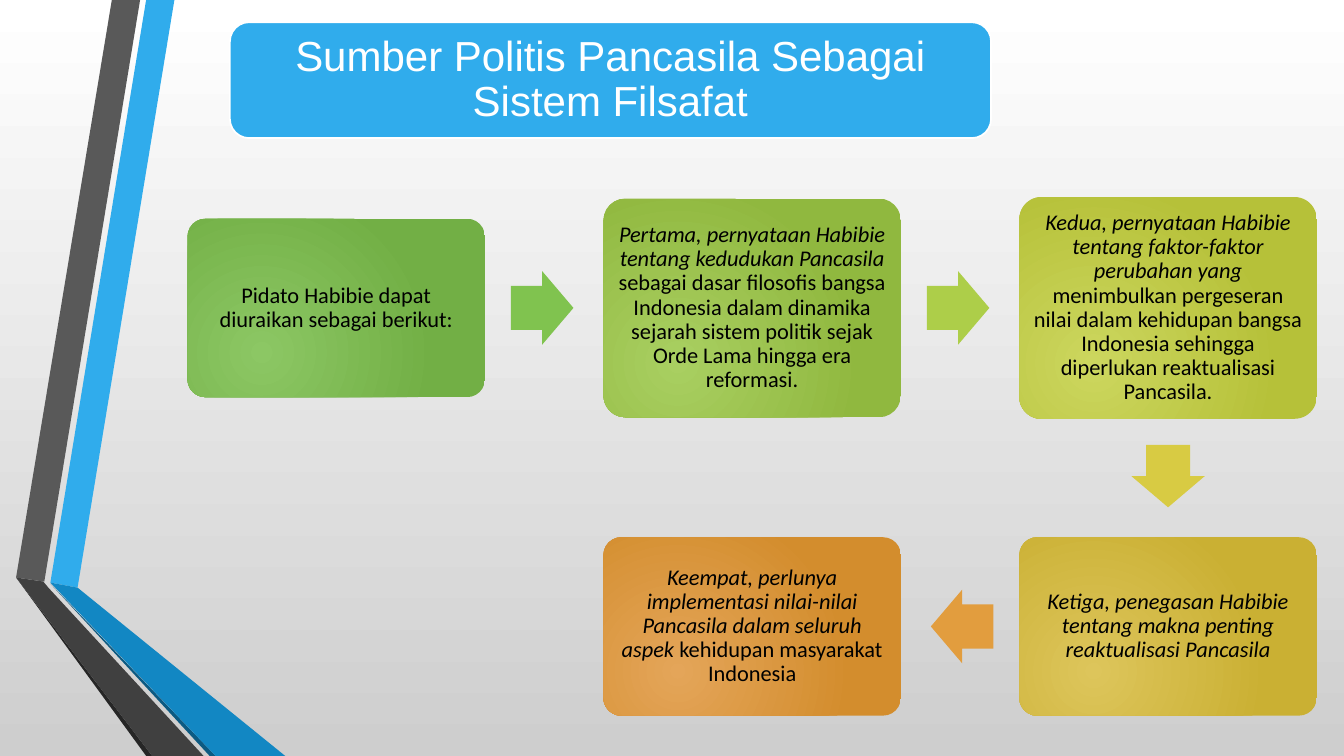
import pptx
import pptx.util
import pptx.dml.color
import pptx.enum.shapes
import pptx.enum.text
import pptx.oxml
import pptx.oxml.ns
from dataclasses import dataclass
from lxml import etree

Inches = pptx.util.Inches
Pt = pptx.util.Pt
MSO = pptx.enum.shapes.MSO_SHAPE


@dataclass(frozen=True)
class Theme:
    font_title: str = "Arial"
    font_body: str = "Calibri"
    size_title: int = 30
    size_body: int = 16
    white: str = "FFFFFF"
    black: str = "000000"
    blue: str = "30ACEC"
    bg: tuple = ("FFFFFF", "CECECE")
    steps: tuple = (("8CC764", "72AF45"), ("A9CF61", "90B83F"),
                    ("CCD65E", "B6C139"), ("DDC55B", "CAB033"),
                    ("E4A559", "D38D2D"))
    arrows: tuple = ("80C34F", "ADCE49", "D8CB43", "E29D3E")


T = Theme()

# Content
TITLE = "Sumber Politis Pancasila Sebagai Sistem Filsafat"

# Each step: column, row, height, italic text, upright text
STEPS = [
    (0, 0, 1.77, "", "Pidato Habibie dapat diuraikan sebagai berikut:"),
    (1, 0, 2.17, "Pertama, pernyataan Habibie tentang kedudukan Pancasila ",
     "sebagai dasar filosofis bangsa Indonesia dalam dinamika sejarah sistem "
     "politik sejak Orde Lama hingga era reformasi."),
    (2, 0, 2.2, "Kedua, pernyataan Habibie tentang faktor-faktor perubahan yang ",
     "menimbulkan pergeseran nilai dalam kehidupan bangsa Indonesia sehingga "
     "diperlukan reaktualisasi Pancasila."),
    (2, 1, 1.77, "Ketiga, penegasan Habibie tentang makna penting "
     "reaktualisasi Pancasila", ""),
    (1, 1, 1.77, "Keempat, perlunya implementasi nilai-nilai Pancasila dalam "
     "seluruh aspek ", "kehidupan masyarakat Indonesia"),
]

# Ribbon facets at the left edge: colour, corners
RIBBONS = [
    (T.blue, [(0.5, 5.78), (0.77, 5.83), (1.73, 0), (1.45, 0)]),
    ("595959", [(1.39, 0), (1.11, 0), (0.16, 5.73), (0.44, 5.77)]),
    ("262626", [(0.16, 5.73), (1.45, 7.5), (1.51, 7.5)]),
    ("0C5A82", [(0.5, 5.79), (2.08, 7.5), (2.14, 7.5)]),
    ("1287C3", [(0.5, 5.78), (2.14, 7.5), (2.83, 7.5), (0.77, 5.83)]),
    ("404040", [(2.02, 7.5), (0.48, 5.83), (0.43, 5.77), (0.16, 5.73),
                (1.51, 7.5)]),
]

# Layout of the flow
LEFT, PITCH, BOX_W = 1.86, 4.125, 2.95
ROW_MID = (3.055, 6.215)
ARROW_W, ARROW_H, ARROW_BACK = 0.62, 0.73, 0.02


def rgb(value):
    return pptx.dml.color.RGBColor.from_string(value)


def paint(sp, color):
    sp.shadow.inherit = False
    sp.fill.solid()
    sp.fill.fore_color.rgb = rgb(color)
    sp.line.fill.background()


def set_gradient(fill, colors):
    fill.gradient()
    for stop, color, position in zip(fill.gradient_stops, colors, (0, 1)):
        stop.color.rgb = rgb(color)
        stop.position = position


def make_radial(sp):
    grad = sp.fill._xPr.find(pptx.oxml.ns.qn("a:gradFill"))
    lin = grad.find(pptx.oxml.ns.qn("a:lin"))
    radial = etree.Element(pptx.oxml.ns.qn("a:path"), path="circle")
    etree.SubElement(radial, pptx.oxml.ns.qn("a:fillToRect"),
                     l="50000", t="100000", r="100000", b="50000")
    grad.replace(lin, radial)


def add_shape(s, kind, x, y, w, h, color):
    sp = s.shapes.add_shape(kind, Inches(x), Inches(y), Inches(w), Inches(h))
    paint(sp, color)
    return sp


def write(sp, runs, font, size, color, inset):
    tf = sp.text_frame
    tf.word_wrap = True
    tf.vertical_anchor = pptx.enum.text.MSO_ANCHOR.MIDDLE
    tf.margin_left = tf.margin_right = Inches(inset)
    tf.margin_top = tf.margin_bottom = Inches(inset)
    p = tf.paragraphs[0]
    p.alignment = pptx.enum.text.PP_ALIGN.CENTER
    p.line_spacing = 0.9
    for text, italic in runs:
        if text:
            r = p.add_run()
            r.text = text
            r.font.name, r.font.size = font, Pt(size)
            r.font.italic = italic
            r.font.color.rgb = rgb(color)


def add_ribbons(s):
    for color, corners in RIBBONS:
        points = [(Inches(x), Inches(y)) for x, y in corners]
        builder = s.shapes.build_freeform(*points[0])
        builder.add_line_segments(points[1:], close=True)
        paint(builder.convert_to_shape(), color)


def add_title(s):
    sp = add_shape(s, MSO.ROUNDED_RECTANGLE, 2.28, 0.22, 7.55, 1.15, T.blue)
    sp.line.color.rgb = rgb(T.white)
    sp.line.width = Pt(1.25)
    write(sp, [(TITLE, False)], T.font_title, T.size_title, T.white, 0.07)


def add_step(s, step, colors):
    col, row, h, italic, upright = step
    sp = add_shape(s, MSO.ROUNDED_RECTANGLE, LEFT + col * PITCH,
                   ROW_MID[row] - h / 2, BOX_W, h, colors[0])
    sp.adjustments[0] = 0.1
    set_gradient(sp.fill, colors)
    make_radial(sp)
    write(sp, [(italic, True), (upright, False)],
          T.font_body, T.size_body, T.black, 0.07)


def add_arrow(s, start, end, color):
    # Centred in the gap between two boxes, a touch nearer the first
    (c1, r1, h1), (c2, r2, h2) = start[:3], end[:3]
    dx, dy = c2 - c1, r2 - r1
    x = LEFT + BOX_W / 2 + (c1 + c2) / 2 * PITCH - dx * ARROW_BACK
    y = (ROW_MID[r1] + ROW_MID[r2] + dy * (h1 - h2) / 2) / 2 - dy * ARROW_BACK
    sp = add_shape(s, MSO.RIGHT_ARROW, x - ARROW_W / 2, y - ARROW_H / 2,
                   ARROW_W, ARROW_H, color)
    sp.adjustments[0], sp.adjustments[1] = 0.6, 0.5
    sp.rotation = 90 if dy else 180 if dx < 0 else 0


def main():
    prs = pptx.Presentation()
    prs.slide_width, prs.slide_height = Inches(13.33), Inches(7.5)
    s = prs.slides.add_slide(prs.slide_layouts[6])

    # Background, top to bottom
    set_gradient(s.background.fill, T.bg)
    s.background.fill.gradient_angle = 270

    add_ribbons(s)
    add_title(s)

    # Flow of steps
    for step, colors in zip(STEPS, T.steps):
        add_step(s, step, colors)
    for start, end, color in zip(STEPS, STEPS[1:], T.arrows):
        add_arrow(s, start, end, color)

    prs.save("out.pptx")


if __name__ == "__main__":
    main()
